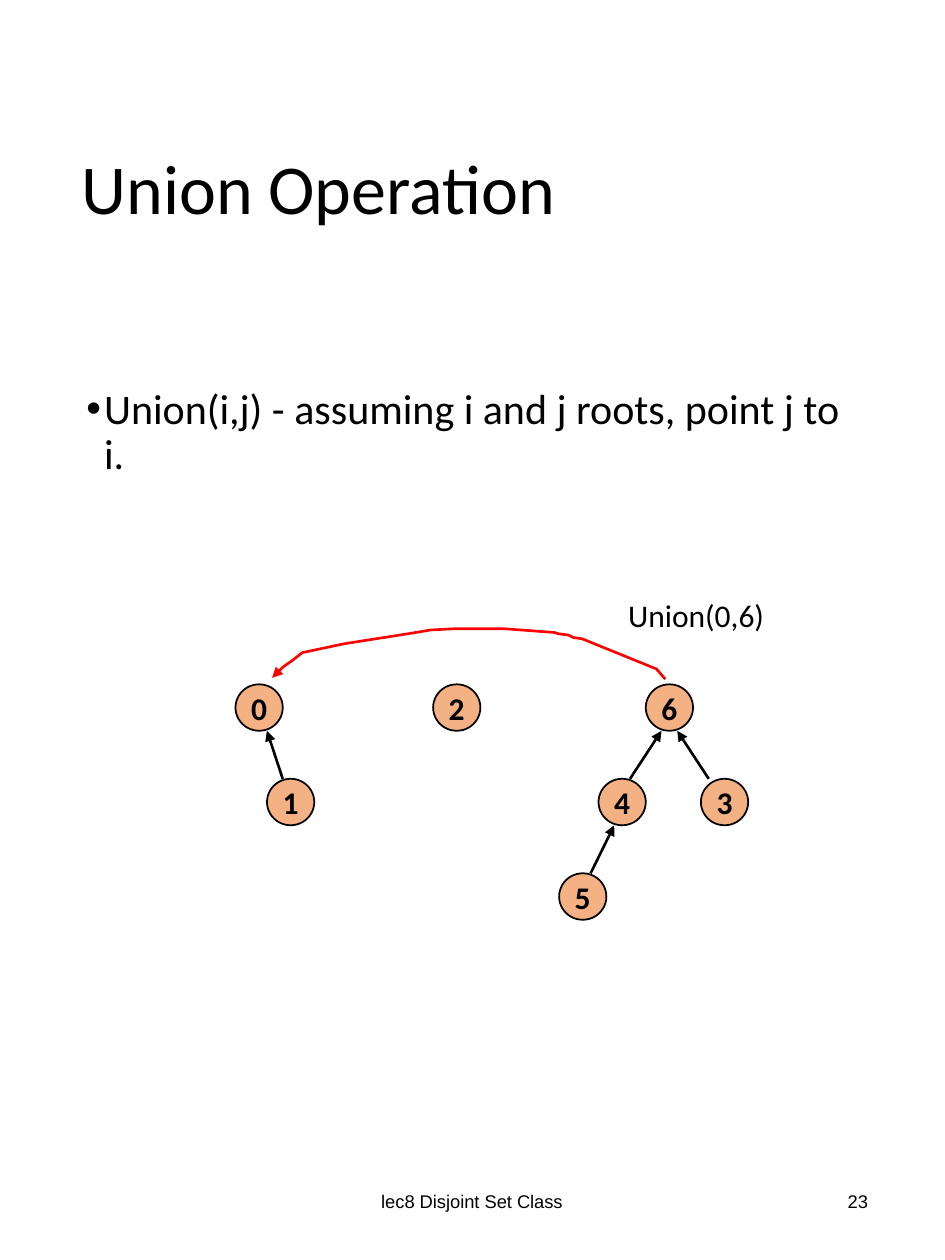
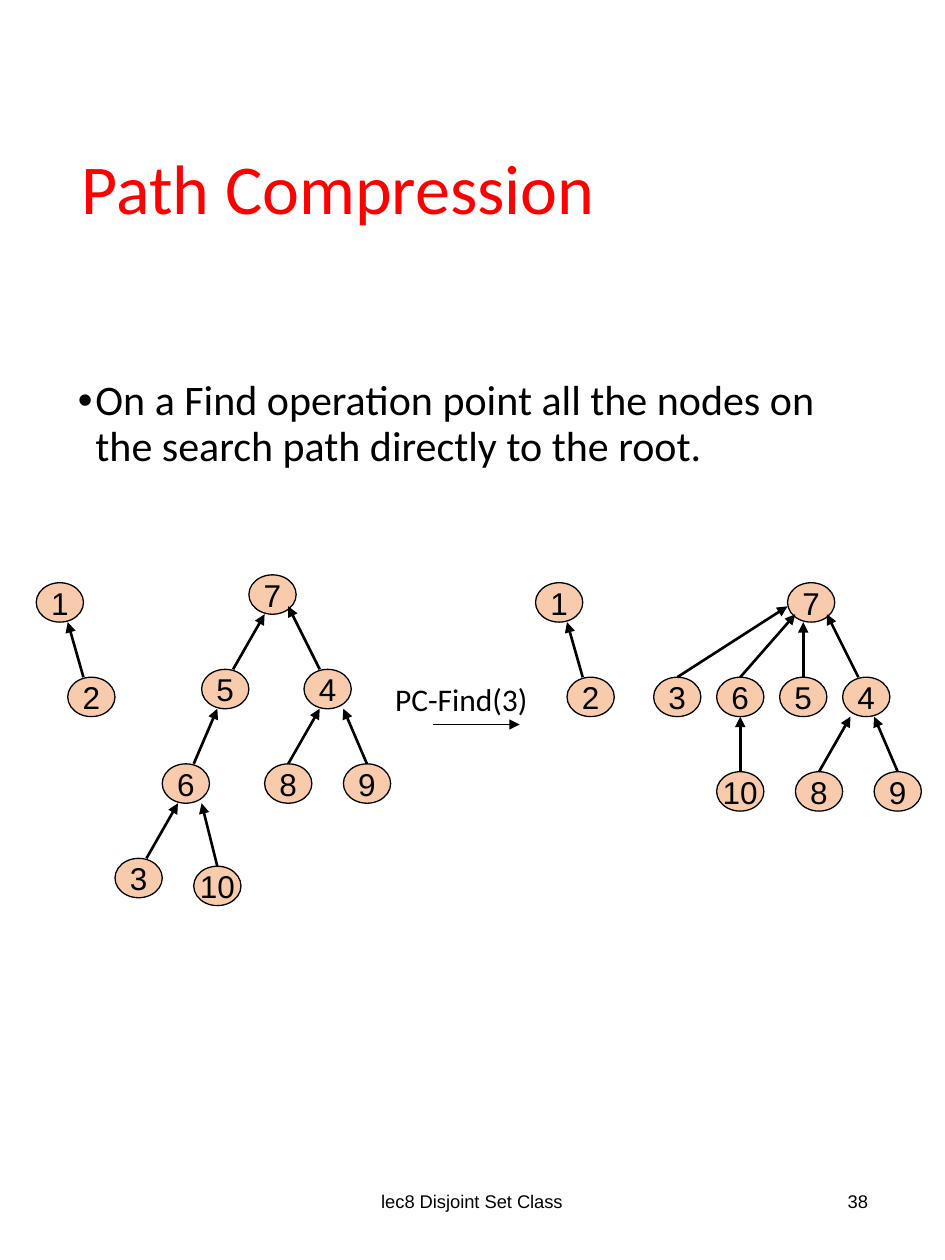
from lxml.etree import SubElement
from pptx import Presentation
from pptx.dml.color import RGBColor
from pptx.enum.shapes import MSO_CONNECTOR, MSO_SHAPE
from pptx.enum.text import MSO_ANCHOR, PP_ALIGN
from pptx.oxml.ns import qn
from pptx.util import Inches, Pt

BLACK = RGBColor(0x00, 0x00, 0x00)
RED = RGBColor(0xFF, 0x00, 0x00)
ORANGE = RGBColor(0xF4, 0xB1, 0x83)
PEACH = RGBColor(0xF8, 0xCB, 0xAD)

CELL = Inches(1 / 16)  # everything sits on a grid of sixteenths of an inch
NODE_WIDTH = 6

# Boxes are column, row, columns wide, rows high
TITLE_BOX = (8.8, 8.2, 103.5, 30.9)
FOOTER_BOX = (39.7, 148.3, 40.5, 8.5)
NUMBER_BOX = (84.8, 148.3, 27, 8.5)

# nodes: label -> (column, row) of the left top corner
# edges: child, parent, columns from the child's left, columns from the
#        parent's left, rows above the parent's bottom
union_forest = {
    "nodes": {"0": (29.9, 86.9), "1": (33.9, 98.9), "2": (55, 86.9),
              "3": (89, 98.9), "4": (76, 98.9), "5": (71, 110.9),
              "6": (82, 86.9)},
    "edges": [("1", "0", 2, 4, 0), ("4", "6", 4, 2, 0),
              ("3", "6", 1, 4, 0), ("5", "4", 4, 2, 0)],
}
before_find = {
    "nodes": {"1": (4.6, 74), "2": (8.6, 86), "3": (14.6, 109),
              "4": (38.6, 85), "5": (25.6, 85), "6": (20.6, 97),
              "7": (31.6, 73), "8": (33.6, 97), "9": (43.6, 97),
              "10": (24.6, 110)},
    "edges": [("2", "1", 2, 4, 0), ("5", "7", 4, 2, 0),
              ("4", "7", 2, 5, 1), ("6", "5", 4, 2, 0),
              ("3", "6", 4, 2, 0), ("8", "4", 3, 2, 0),
              ("9", "4", 3, 5, 0), ("10", "6", 3, 5, 0)],
}
after_find = {
    "nodes": {"1": (68, 74), "2": (72, 86), "3": (83, 86), "4": (107, 86),
              "5": (99, 86), "6": (91, 86), "7": (100, 74),
              "8": (101, 98), "9": (111, 98), "10": (91, 98)},
    "edges": [("2", "1", 2, 4, 0), ("5", "7", 3, 2, 0),
              ("4", "7", 2, 5, 1), ("6", "7", 3, 1, 1),
              ("3", "7", 3, 0, 2), ("8", "4", 3, 1, 0),
              ("9", "4", 3, 4, 0), ("10", "6", 3, 3, 0)],
}

lessons = [
    {"title": "Union Operation", "title_color": BLACK, "number": "23",
     "point": "Union(i,j) - assuming i and j roots, point j to i.",
     "point_box": (9.4, 48.5, 102, 18),
     "call": "Union(0,6)", "call_box": (78.2, 74.9, 24.2, 6.4),
     "forests": [union_forest], "fill": ORANGE, "outline": 1,
     "node_height": 5.9, "font": "Calibri", "bold": True},
    {"title": "Path Compression", "title_color": RED, "number": "38",
     "point": "On a Find operation point all the nodes on the search path "
              "directly to the root.",
     "point_box": (8.3, 47.4, 102, 10),
     "call": "PC-Find(3)", "call_box": (48.6, 85.6, 23.8, 6.4),
     "forests": [before_find, after_find], "fill": PEACH, "outline": 0.75,
     "node_height": 5, "font": "Arial", "bold": False},
]

# Sweep from root 0 to root 6, in hundredths of an inch
union_sweep = [
    (216, 538), (224, 530), (228, 527), (231, 525), (240, 518), (273, 511),
    (324, 503), (342, 500), (361, 499), (400, 499), (440, 502), (443, 503),
    (451, 504), (455, 506), (462, 507), (494, 520), (521, 531), (528, 539),
]


def write(slide, box, text, size, font="Calibri", color=BLACK,
          align=PP_ALIGN.LEFT, anchor=MSO_ANCHOR.TOP, bullet=False):
    """Put one paragraph in a box given in grid cells."""
    frame = slide.shapes.add_textbox(*(int(n * CELL) for n in box)).text_frame
    frame.word_wrap = True
    frame.vertical_anchor = anchor
    paragraph = frame.paragraphs[0]
    paragraph.text = text
    paragraph.alignment = align
    if bullet:
        properties = paragraph._p.get_or_add_pPr()
        properties.set("marL", str(Inches(0.14)))
        properties.set("indent", str(-Inches(0.14)))
        SubElement(properties, qn("a:buFont")).set("typeface", "Arial")
        SubElement(properties, qn("a:buChar")).set("char", "•")
        paragraph.line_spacing = 0.9
    paragraph.font.size = Pt(size)
    paragraph.font.name = font
    paragraph.font.color.rgb = color


def draw_arrow(slide, start, end, width):
    """Draw a straight black arrow between two grid points."""
    points = [int(n * CELL) for n in (*start, *end)]
    arrow = slide.shapes.add_connector(MSO_CONNECTOR.STRAIGHT, *points)
    arrow.line.color.rgb = BLACK
    arrow.line.width = Pt(width)
    properties = arrow._element.spPr
    SubElement(properties.find(qn("a:ln")), qn("a:tailEnd")).set("type", "triangle")
    SubElement(properties, qn("a:effectLst"))


deck = Presentation()
deck.slide_width = Inches(7.5)
deck.slide_height = Inches(10)
slides = []

for lesson in lessons:
    slide = deck.slides.add_slide(deck.slide_layouts[6])
    slides.append(slide)
    write(slide, FOOTER_BOX, "lec8 Disjoint Set Class", 10.5, "Arial",
          align=PP_ALIGN.CENTER, anchor=MSO_ANCHOR.MIDDLE)
    write(slide, NUMBER_BOX, lesson["number"], 10.5, "Arial",
          align=PP_ALIGN.RIGHT, anchor=MSO_ANCHOR.MIDDLE)
    write(slide, TITLE_BOX, lesson["title"], 40, color=lesson["title_color"],
          anchor=MSO_ANCHOR.MIDDLE)
    write(slide, lesson["point_box"], lesson["point"], 24, bullet=True)
    write(slide, lesson["call_box"], lesson["call"], 18)

    height = lesson["node_height"]
    for forest in lesson["forests"]:
        nodes = forest["nodes"]
        for label, (column, row) in nodes.items():
            node = slide.shapes.add_shape(
                MSO_SHAPE.OVAL, int(column * CELL), int(row * CELL),
                int(NODE_WIDTH * CELL), int(height * CELL))
            node.shadow.inherit = False
            node.fill.solid()
            node.fill.fore_color.rgb = lesson["fill"]
            node.line.color.rgb = BLACK
            node.line.width = Pt(lesson["outline"])
            frame = node.text_frame
            frame.word_wrap = False
            frame.vertical_anchor = MSO_ANCHOR.MIDDLE
            paragraph = frame.paragraphs[0]
            paragraph.text = label
            paragraph.alignment = PP_ALIGN.CENTER
            paragraph.font.size = Pt(18)
            paragraph.font.name = lesson["font"]
            paragraph.font.bold = lesson["bold"]
            paragraph.font.color.rgb = BLACK
        for child, parent, leave, arrive, lift in forest["edges"]:
            child_left, child_top = nodes[child]
            parent_left, parent_top = nodes[parent]
            draw_arrow(slide, (child_left + leave, child_top),
                       (parent_left + arrive, parent_top + height - lift), 1.5)

union_slide, compression_slide = slides

builder = union_slide.shapes.build_freeform(*union_sweep[0], scale=Inches(0.01))
builder.add_line_segments(union_sweep[1:], close=False)
sweep = builder.convert_to_shape()
sweep.shadow.inherit = False
sweep.fill.background()
sweep.line.color.rgb = RED
sweep.line.width = Pt(1.5)
sweep_line = sweep._element.spPr.find(qn("a:ln"))
SubElement(sweep_line, qn("a:headEnd")).set("type", "triangle")

draw_arrow(compression_slide, (55, 92), (66, 92), 0.75)

deck.save("out.pptx")
